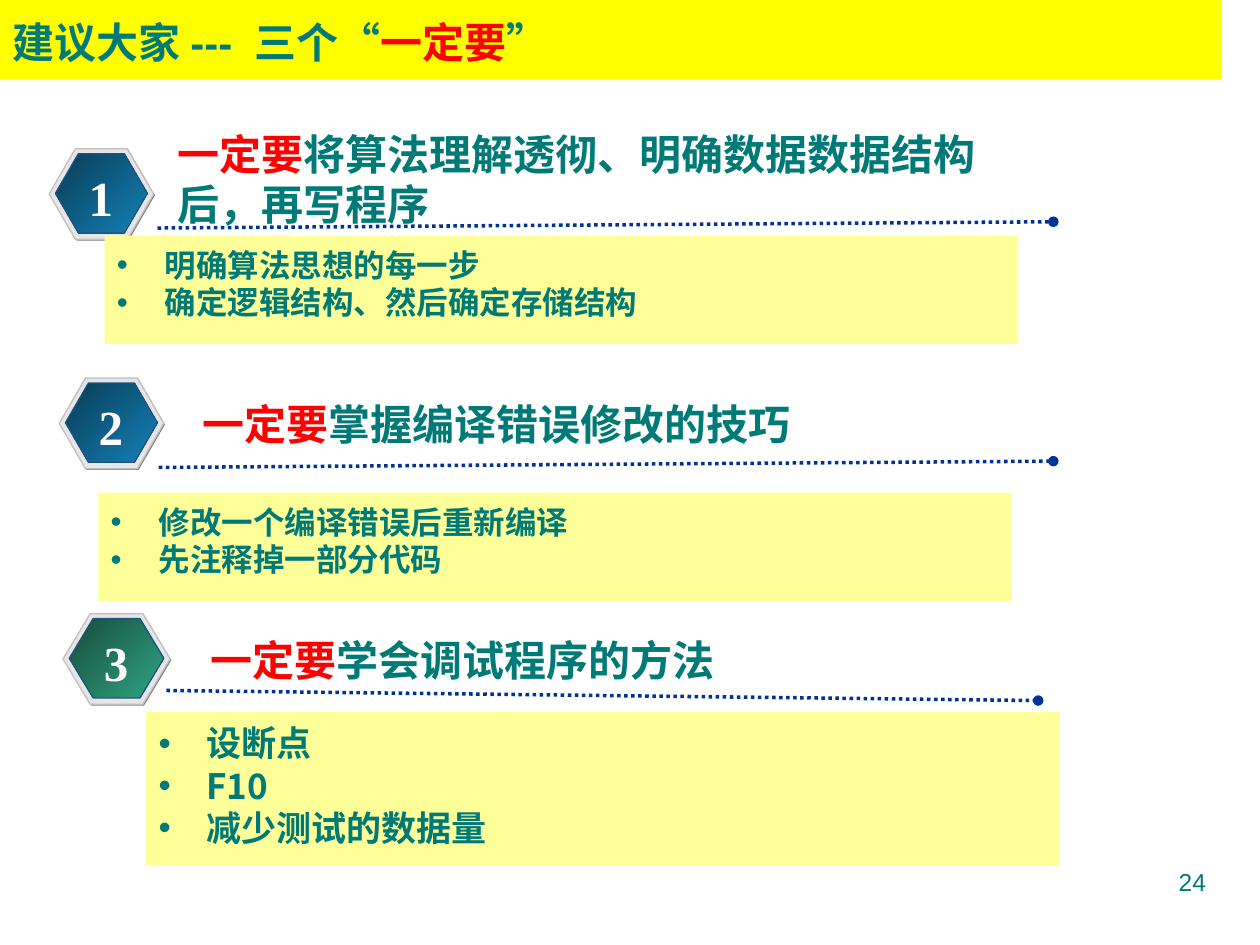
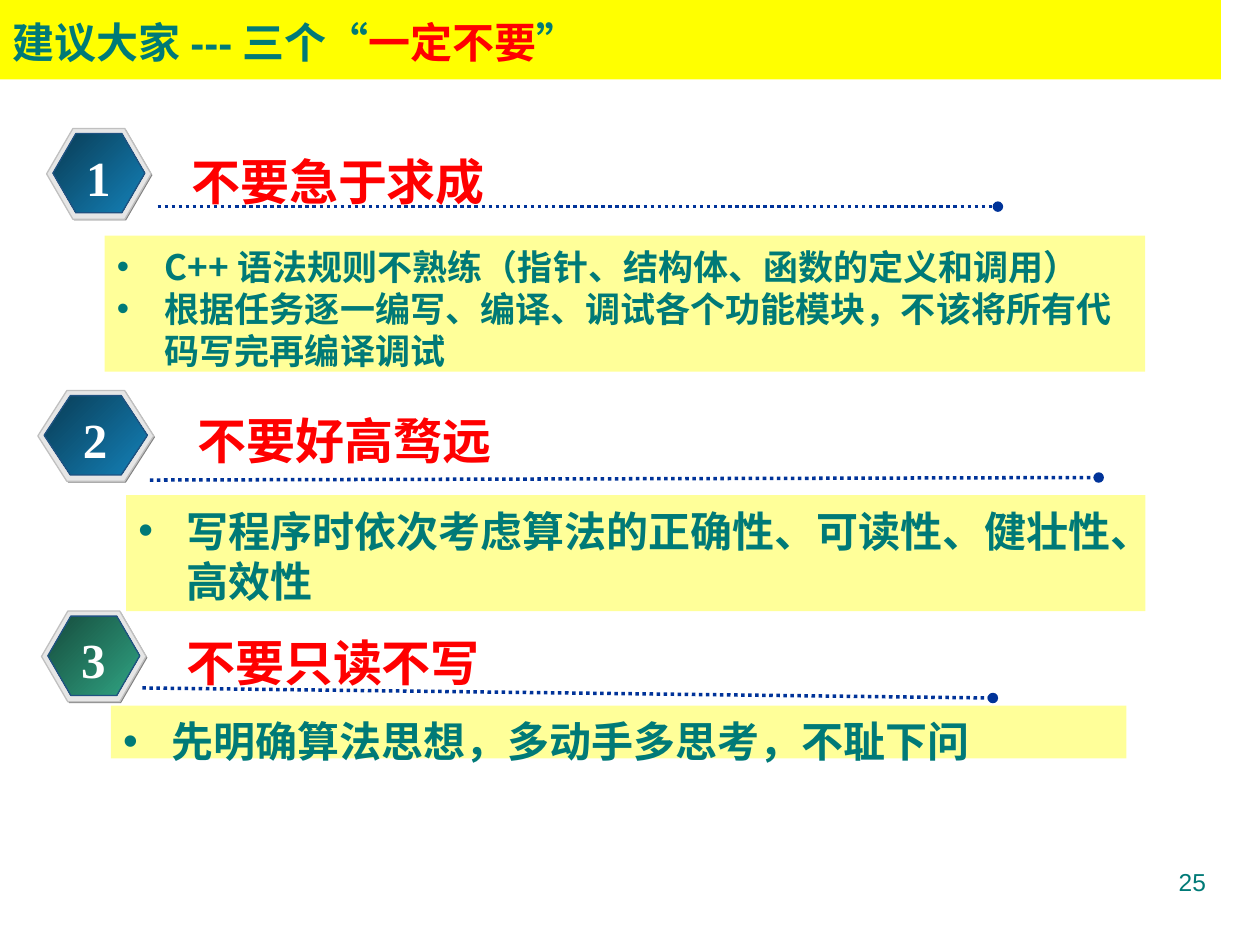
from lxml.etree import SubElement
from pptx import Presentation
from pptx.dml.color import RGBColor
from pptx.enum.dml import MSO_LINE_DASH_STYLE as Dash
from pptx.enum.shapes import MSO_CONNECTOR_TYPE as Connector, MSO_SHAPE as Shape
from pptx.enum.text import MSO_ANCHOR as Anchor, PP_ALIGN as Align
from pptx.oxml.ns import qn
from pptx.util import Inches, Pt

TEAL, RED, WHITE = "007A77", "FF0000", "FFFFFF"
TITLE_BAND, NOTE_BAND, DOTS = "FFFF00", "FFFF99", "003399"
RIM_SHADOW, RIM, RIM_LINE, FACE_LINE = "808080", "E6E6E6", "C0C0C0", "1F5281"
BLUE, GREEN = ("093C55", "1481B8"), ("164C3D", "30A483")
SERIF, SANS, CJK = "Times New Roman", "Arial", "Noto Sans CJK SC"

SLIDES = [
    (24, [("建议大家--- 三个“", TEAL), ("一定要", RED), ("”", TEAL)], 24, [
        ((0.39, 1.18, 0.83), BLUE, (1.25, 1.81, 8.36, 1.76), (1.31, 0.94, 6.76, 0.9),
         [("一定要", RED), ("将算法理解透彻、明确数据数据结构后，再写程序", TEAL)],
         (0.83, 1.87, 7.25, 0.86), 18, SERIF,
         ["明确算法思想的每一步", "确定逻辑结构、然后确定存储结构"]),
        ((0.47, 3, 0.83), BLUE, (1.26, 3.71, 8.36, 3.66), (1.51, 3.08, 7.08, 0.9),
         [("一定要", RED), ("掌握编译错误修改的技巧", TEAL)],
         (0.78, 3.91, 7.25, 0.86), 18, SERIF,
         ["修改一个编译错误后重新编译", "先注释掉一部分代码"]),
        ((0.5, 4.87, 0.85), GREEN, (1.32, 5.48, 8.24, 5.56), (1.57, 4.96, 6.55, 0.9),
         [("一定要", RED), ("学会调试程序的方法", TEAL)],
         (1.16, 5.65, 7.25, 1.22), 20, CJK,
         ["设断点", "F10", "减少测试的数据量"]),
    ]),
    (25, [("建议大家---三个“", TEAL), ("一定不要", RED), ("”", TEAL)], 28, [
        ((0.37, 1.02, 0.83), BLUE, (1.25, 1.64, 7.92, 1.64), (1.42, 1.12, 4.33, 0.57),
         [("不要急于求成", RED)],
         (0.83, 1.87, 8.26, 1.08), 20, CJK,
         ["C++语法规则不熟练（指针、结构体、函数的定义和调用）",
          "根据任务逐一编写、编译、调试各个功能模块，不该将所有代码写完再编译调试"]),
        ((0.3, 3.1, 0.92), BLUE, (1.19, 3.81, 8.72, 3.79), (1.47, 3.18, 7.14, 0.57),
         [("不要好高骛远", RED)],
         (1, 3.93, 8.09, 0.92), 24, CJK,
         ["写程序时依次考虑算法的正确性、可读性、健壮性、高效性"]),
        ((0.33, 4.85, 0.83), GREEN, (1.13, 5.46, 7.88, 5.54), (1.38, 4.94, 6.39, 0.57),
         [("不要只读不写", RED)],
         (0.88, 5.6, 8.06, 0.42), 24, CJK,
         ["先明确算法思想，多动手多思考，不耻下问"]),
    ]),
]


def color(value):
    return RGBColor.from_string(value)


def write(page, place, paragraphs, size, font, fill=None, align=Align.LEFT,
          anchor=Anchor.TOP, top=0.08, bold=True, bullets=False, wrap=True):
    lengths = [Inches(length) for length in place]
    if fill:
        box = page.shapes.add_shape(Shape.RECTANGLE, *lengths)
        box.shadow.inherit = False
        box.fill.solid()
        box.fill.fore_color.rgb = color(fill)
        box.line.fill.background()
    else:
        box = page.shapes.add_textbox(*lengths)
    frame = box.text_frame
    frame.word_wrap = wrap
    frame.vertical_anchor = anchor
    frame.margin_top = Inches(top)
    for index, spans in enumerate(paragraphs):
        para = frame.add_paragraph() if index else frame.paragraphs[0]
        para.alignment = align
        para.line_spacing = Pt(size * 1.2)
        if bullets:
            props = para._p.get_or_add_pPr()
            props.set("marL", str(Inches(0.38)))
            props.set("indent", str(-Inches(0.38)))
            SubElement(SubElement(props, qn("a:buClr")), qn("a:srgbClr"), val=TEAL)
            SubElement(props, qn("a:buFont"), typeface=SANS)
            SubElement(props, qn("a:buChar"), char="•")
        for text, tint in spans:
            span = para.add_run()
            span.text = text
            span.font.size = Pt(size)
            span.font.bold = bold
            span.font.color.rgb = color(tint)
            span.font.name = font
            SubElement(span.font._element, qn("a:ea"), typeface=CJK)


deck = Presentation()
deck.slide_width, deck.slide_height = Inches(10), Inches(7.5)

for page_number, title, heading_size, items in SLIDES:
    page = deck.slides.add_slide(deck.slide_layouts[6])
    write(page, (0, 0, 9.69, 0.63), [title], 24, SANS, fill=TITLE_BAND, anchor=Anchor.MIDDLE)

    for number, item in enumerate(items, 1):
        badge, shades, rule, heading_place, heading, band, note_size, note_font, notes = item
        left, top, width = badge
        layers = [
            (0.01, 0.01, width, 0.72, RIM_SHADOW, None),
            (0, 0, width, 0.72, RIM, RIM_LINE),
            (0.05, 0.04, width - 0.1, 0.63, None, FACE_LINE),
        ]
        for right, down, wide, high, fill, edge in layers:
            hexagon = page.shapes.add_shape(
                Shape.HEXAGON, Inches(left + right), Inches(top + down), Inches(wide), Inches(high))
            hexagon.shadow.inherit = False
            hexagon.adjustments[0] = round(0.25 * wide / high, 2)
            if fill:
                hexagon.fill.solid()
                hexagon.fill.fore_color.rgb = color(fill)
            else:
                hexagon.fill.gradient()
                hexagon.fill.gradient_angle = 315
                for stop, shade in zip(hexagon.fill.gradient_stops, shades):
                    stop.color.rgb = color(shade)
            if edge:
                hexagon.line.color.rgb = color(edge)
                hexagon.line.width = Pt(0.75)
            else:
                hexagon.line.fill.background()

        dotted = page.shapes.add_connector(Connector.STRAIGHT, *[Inches(end) for end in rule])
        dotted.line.color.rgb = color(DOTS)
        dotted.line.width = Pt(2)
        dotted.line.dash_style = Dash.ROUND_DOT
        SubElement(dotted.line._get_or_add_ln(), qn("a:tailEnd"), type="oval")
        SubElement(dotted._element.spPr, qn("a:effectLst"))

        write(page, heading_place, [heading], heading_size, SERIF)
        write(page, (left + width / 2 - 0.2, top + 0.1, 0.39, 0.57), [[(str(number), WHITE)]],
              28, SERIF, align=Align.CENTER, top=0.05, wrap=False)
        write(page, band, [[(note, TEAL)] for note in notes], note_size, note_font,
              fill=NOTE_BAND, bullets=True)

    write(page, (7.17, 6.83, 2.5, 0.52), [[(str(page_number), TEAL)]], 14, SANS,
          align=Align.RIGHT, top=0.05, bold=False)

deck.save("out.pptx")
